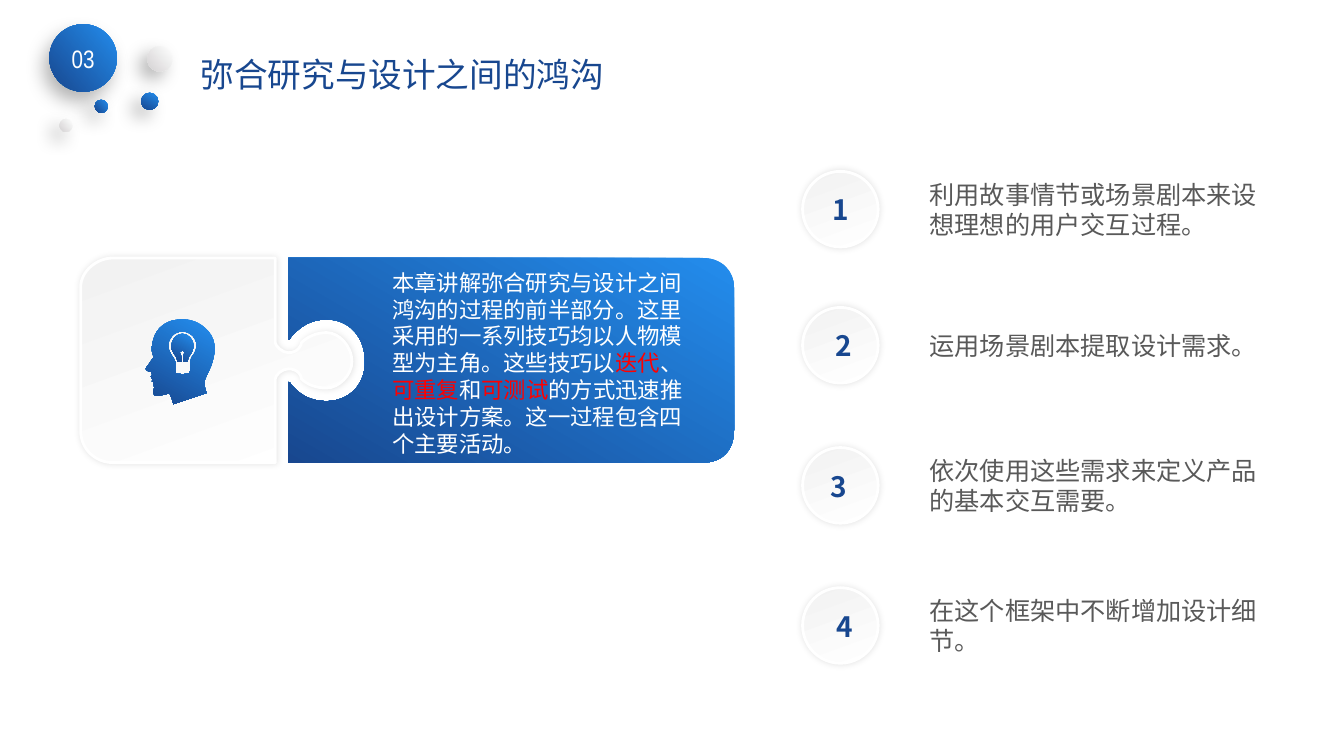
from lxml.etree import SubElement
from pptx import Presentation
from pptx.dml.color import RGBColor
from pptx.enum.shapes import MSO_SHAPE
from pptx.enum.text import MSO_ANCHOR, MSO_AUTO_SIZE, PP_ALIGN
from pptx.oxml.ns import qn
from pptx.util import Inches, Pt

BLUE = ("238DED", "18478F")
GREY = ("FFFFFF", "D4D2D3")
PALE = ("FFFFFF", "F2F2F2")
CJK = "Noto Sans CJK SC"

KNOB_PIECE = [
    (1.93, 1.2), (1.93, 1.16, 2, 1.1, 2.06, 1.1), (2.15, 1.1, 2.19, 1.16, 2.19, 1.2),
    (2.25, 1.26, 2.34, 1.29, 2.44, 1.29), (2.56, 1.29, 2.69, 1.16, 2.69, 1.03),
    (2.69, .87, 2.56, .74, 2.44, .74), (2.34, .74, 2.25, .78, 2.19, .84),
    (2.19, .87, 2.15, .94, 2.06, .94), (2, .94, 1.93, .87, 1.93, .84),
    (1.93, 0), (.32, 0), (.16, 0, 0, .13, 0, .29), (0, 1.71),
    (0, 1.91, .16, 2.03, .32, 2.03), (1.93, 2.03)]
SOCKET_PIECE = [
    (6.17, 0), (2.06, 0), (2.06, .81), (2.06, .81, 2.09, .81, 2.09, .78),
    (2.18, .68, 2.28, .61, 2.44, .61), (2.66, .61, 2.82, .78, 2.82, 1.03),
    (2.82, 1.26, 2.66, 1.42, 2.44, 1.42), (2.28, 1.42, 2.18, 1.36, 2.09, 1.26),
    (2.09, 1.23, 2.06, 1.23, 2.06, 1.23), (2.06, 2.03), (6.17, 2.03),
    (6.36, 2.03, 6.48, 1.91, 6.48, 1.71), (6.48, .29), (6.48, .13, 6.36, 0, 6.17, 0)]
BULB = [
    (.37, .16), (.31, .16, .26, .22, .26, .28), (.26, .3, .26, .33, .28, .35),
    (.3, .38, .32, .4, .32, .43), (.32, .44), (.36, .44), (.36, .43),
    (.36, .41, .36, .37, .34, .34), (.35, .34, .36, .33, .37, .33),
    (.38, .33, .39, .34, .39, .34), (.38, .36, .38, .39, .38, .43),
    (.38, .44), (.42, .44), (.42, .43), (.42, .4, .44, .38, .46, .35),
    (.47, .33, .48, .3, .48, .28), (.48, .22, .43, .16, .37, .16)]
HEAD = [
    (.59, .1), (.51, .03, .41, 0, .27, .03), (.17, .06, .09, .13, .07, .27),
    (.06, .32, .07, .34, .07, .35), (.07, .36, .08, .37, .08, .38), (.08, .4),
    (.01, .5), (.01, .5, 0, .51, .01, .52), (.02, .54, .05, .54, .06, .54),
    (.07, .55, .07, .56, .07, .57), (.06, .58, .05, .59, .06, .6), (.08, .61),
    (.08, .61, .07, .61, .07, .62), (.06, .63, .07, .64, .08, .64),
    (.08, .64, .09, .67, .09, .7), (.08, .73, .07, .75, .09, .77),
    (.12, .78, .2, .77, .24, .75), (.24, .75, .26, .78, .28, .86), (.61, .75),
    (.59, .7, .59, .67, .59, .65), (.58, .61, .65, .52, .67, .43),
    (.7, .33, .71, .2, .59, .1)]
BULB_RIM = [
    (.48, .37), (.45, .4, .45, .43, .45, .45), (.45, .52),
    (.45, .55, .43, .56, .42, .56), (.39, .56), (.39, .57, .38, .57, .37, .57),
    (.36, .57, .36, .57, .35, .56), (.32, .56), (.31, .56, .3, .55, .3, .53),
    (.3, .45), (.3, .43, .28, .4, .26, .37), (.24, .34, .23, .31, .23, .28),
    (.23, .2, .29, .14, .37, .14), (.45, .14, .51, .2, .51, .28),
    (.51, .31, .5, .34, .48, .37)]


def color(value):
    return RGBColor.from_string(value)


def paint(sp, stops, angle, line=None, shadow=None):
    sp.shadow.inherit = False
    sp.fill.gradient()
    sp.fill.gradient_angle = 360 - angle
    for stop, value in zip(sp.fill.gradient_stops, stops):
        stop.color.rgb = color(value)
    if line:
        sp.line.color.rgb = color(line)
        sp.line.width = Pt(2)
    else:
        sp.line.fill.background()
    if shadow:
        alpha, blur, dist, direction = shadow
        effects = sp._element.spPr.find(qn("a:effectLst"))
        outer = SubElement(effects, qn("a:outerShdw"), blurRad=str(Pt(blur)),
                           dist=str(Pt(dist)), dir=str(direction * 60000),
                           algn="ctr", rotWithShape="0")
        rgb = SubElement(outer, qn("a:srgbClr"), val="000000")
        SubElement(rgb, qn("a:alpha"), val=str(alpha * 1000))


def disc(s, x, y, size, stops, angle, **style):
    sp = s.shapes.add_shape(MSO_SHAPE.OVAL, Inches(x), Inches(y), Inches(size), Inches(size))
    paint(sp, stops, angle, **style)
    return sp


def outline(s, x, y, contours, stops, angle, **style):
    def place(px, py):
        return Inches(x + px), Inches(y + py)

    builder = s.shapes.build_freeform(*place(*contours[0][0]))
    for i, contour in enumerate(contours):
        if i:
            builder.move_to(*place(*contour[0]))
        builder.add_line_segments([place(*part[-2:]) for part in contour[1:]])
    sp = builder.convert_to_shape()
    parts = [part for contour in contours for part in contour[1:]]
    segments = [e for e in sp._element.iter(qn("a:lnTo"))]
    for segment, part in zip(segments, parts):
        if len(part) == 6:
            segment.tag = qn("a:cubicBezTo")
            for k in (0, 2):
                px, py = place(*part[k:k + 2])
                pt = SubElement(segment, qn("a:pt"), x=str(px - sp.left), y=str(py - sp.top))
                segment.insert(k // 2, pt)
    paint(sp, stops, angle, **style)


def write(sp, runs, size, font, value, align=PP_ALIGN.LEFT, bold=False):
    tf = sp.text_frame
    tf.word_wrap = True
    tf.auto_size = MSO_AUTO_SIZE.NONE
    tf.vertical_anchor = MSO_ANCHOR.MIDDLE
    p = tf.paragraphs[0]
    p.alignment = align
    p.font.size = Pt(size)
    p.font.bold = bold
    p.font.name = font
    p.font.color.rgb = color(value)
    SubElement(p._p.pPr.find(qn("a:defRPr")), qn("a:ea"), typeface=font)
    for text, accent in runs:
        r = p.add_run()
        r.text = text
        if accent:
            r.font.color.rgb = color(accent)


def text_box(s, x, y, w, h, runs, *style, **options):
    sp = s.shapes.add_textbox(Inches(x), Inches(y), Inches(w), Inches(h))
    write(sp, runs, *style, **options)


def header(s, x, y):
    badge = disc(s, x, y, .67, BLUE, 140, shadow=(30, 14, 8, 120))
    write(badge, [("03", None)], 18, "Arial Narrow", "FFFFFF", PP_ALIGN.CENTER)
    for dx, dy, size, stops, angle in [(.97, .22, .25, GREY, 140), (.1, .94, .13, GREY, 140),
                                       (.45, .75, .13, BLUE, 140), (.91, .68, .17, BLUE, 120)]:
        disc(s, x + dx, y + dy, size, stops, angle, shadow=(30, 13, 8, 135))
    sp = s.shapes.title
    sp.left, sp.top, sp.width, sp.height = map(Inches, (x + 1.4, y + .24, 4.24, .5))
    write(sp, [("弥合研究与设计之间的鸿沟", None)], 24, "Open Sans", "18478F")


def puzzle(s, x, y):
    outline(s, x, y, [KNOB_PIECE], PALE, 250, line="FFFFFF", shadow=(11, 5, 0, 0))
    outline(s, x, y, [SOCKET_PIECE], BLUE, 120)
    for contours in ([BULB], [HEAD, BULB_RIM]):
        outline(s, x + .64, y + .59, contours, BLUE, 120)
    red = "FF0000"
    runs = [("本章讲解弥合研究与设计之间鸿沟的过程的前半部分。这里采用的一系列技巧均以人物模 "
             "型为主角。这些技巧以", None), ("迭代", red), ("、", None), ("可重复", red),
            ("和", None), ("可测试", red),
            ("的方式迅速推出设计方案。这一过程包含四个主要活动。", None)]
    text_box(s, x + 2.99, y + .05, 3.28, 1.98, runs, 16, CJK, "FFFFFF")


def step(s, x, y, number, nudge, text, height):
    size = .75
    disc(s, x, y, size, PALE, 250, line="FFFFFF", shadow=(11, 5, 0, 0))
    text_box(s, x - .11 + nudge, y + .16, .98, .44, [(number, None)], 20, "Noto Sans CJK KR",
             "18478F", align=PP_ALIGN.CENTER, bold=True)
    text_box(s, x + 1.16, y + (size - height) / 2, 3.46, height, [(text, None)],
             18, CJK, "595959")


prs = Presentation()
prs.slide_width, prs.slide_height = Inches(13.33), Inches(7.5)
s = prs.slides.add_slide(prs.slide_layouts[5])
header(s, .49, .24)
puzzle(s, .8, 2.56)
for y, number, nudge, text, height in [
        (1.7, "1", 0, "利用故事情节或场景剧本来设想理想的用户交互过程。", .71),
        (3.05, "2", .03, "运用场景剧本提取设计需求。", .4),
        (4.44, "3", -.02, "依次使用这些需求来定义产品的基本交互需要。", .71),
        (5.83, "4", .04, "在这个框架中不断增加设计细节。", .71)]:
    step(s, 7.96, y, number, nudge, text, height)
prs.save("out.pptx")
